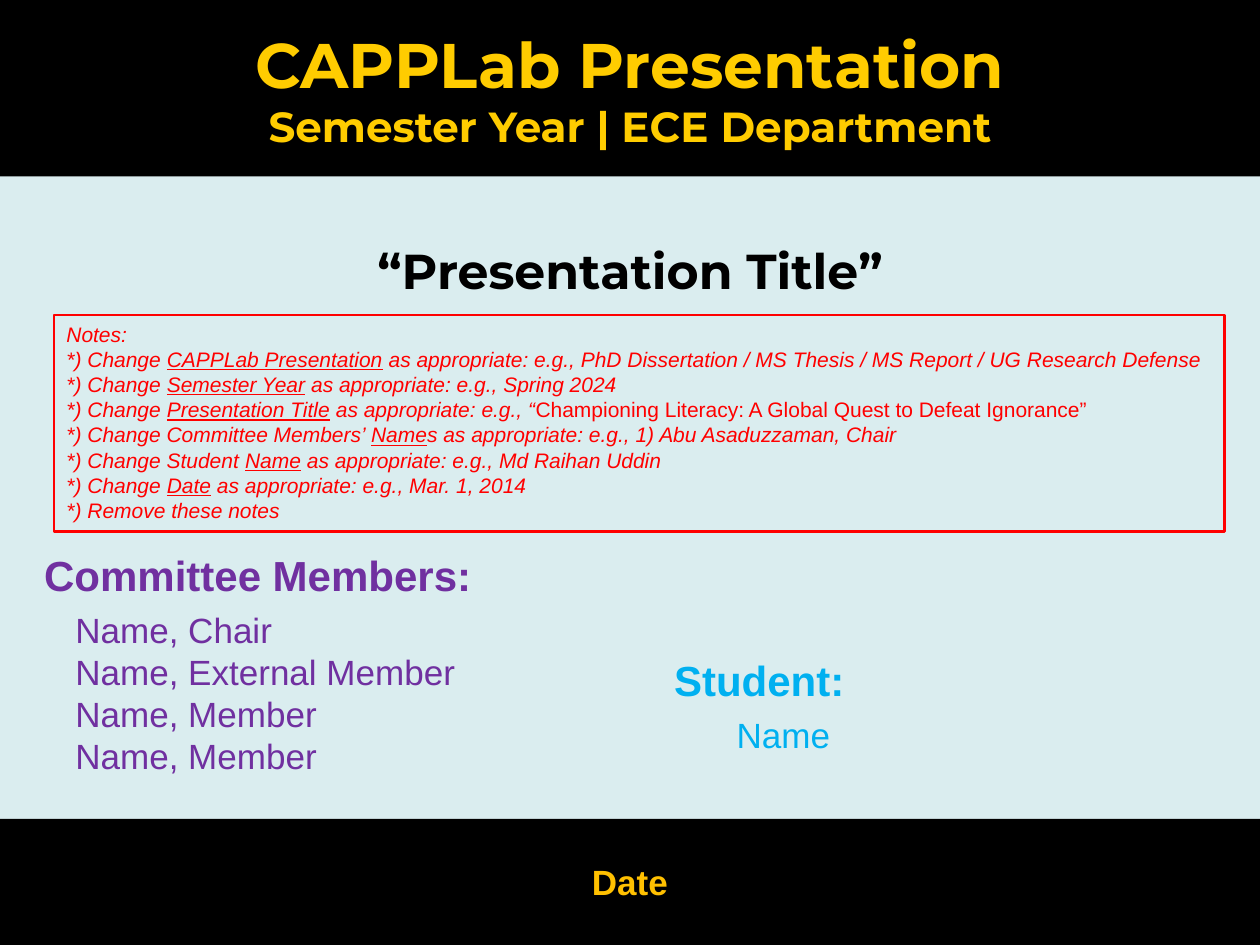
from pptx import Presentation
from pptx.dml.color import RGBColor
from pptx.enum import shapes, text
from pptx.util import Cm, Pt

BLACK = RGBColor(0x00, 0x00, 0x00)
PALE_BLUE = RGBColor(0xDA, 0xED, 0xEF)
YELLOW = RGBColor(0xFF, 0xCC, 0x00)
AMBER = RGBColor(0xFF, 0xC0, 0x00)
PURPLE = RGBColor(0x70, 0x30, 0xA0)
SKY_BLUE = RGBColor(0x00, 0xB0, 0xF0)
RED = RGBColor(0xFF, 0x00, 0x00)

WIDTH, HEIGHT = Cm(25.4), Cm(19.05)
HEADER_HEIGHT, FOOTER_TOP = Cm(3.56), Cm(16.51)


def format_font(font, name, size, color, bold=False):
    font.name, font.size, font.bold = name, Pt(size), bold
    font.color.rgb = color


def add_rectangle(page, left, top, width, height):
    box = page.shapes.add_shape(
        shapes.MSO_SHAPE.RECTANGLE, left, top, width, height)
    box.shadow.inherit = False
    return box


deck = Presentation()
deck.slide_width, deck.slide_height = WIDTH, HEIGHT
page = deck.slides.add_slide(deck.slide_layouts[5])
page.background.fill.solid()
page.background.fill.fore_color.rgb = PALE_BLUE

# Title
title = page.shapes.title
title.left, title.top, title.width, title.height = 0, Cm(4.72), WIDTH, Cm(1.6)
title.text_frame.text = "“Presentation Title”"
title.text_frame.vertical_anchor = text.MSO_ANCHOR.TOP
title.text_frame.paragraphs[0].alignment = text.PP_ALIGN.CENTER
format_font(title.text_frame.paragraphs[0].runs[0].font,
            "Montserrat", 28, BLACK, bold=True)

# Header and footer bands
bands = [
    (0, HEADER_HEIGHT, "Montserrat", YELLOW,
     [("CAPPLab Presentation", 36), ("Semester Year | ECE Department", 24)]),
    (FOOTER_TOP, HEIGHT - FOOTER_TOP, "Arial", AMBER, [("Date", 20)]),
]
for top, height, font_name, color, lines in bands:
    band = add_rectangle(page, 0, top, WIDTH, height)
    band.fill.solid()
    band.fill.fore_color.rgb = BLACK
    band.line.fill.background()
    frame = band.text_frame
    frame.vertical_anchor = text.MSO_ANCHOR.MIDDLE
    frame.text = "\n".join(line for line, size in lines)
    for para, (line, size) in zip(frame.paragraphs, lines):
        para.alignment = text.PP_ALIGN.CENTER
        format_font(para.runs[0].font, font_name, size, color, bold=True)

# People: a bold heading above indented names
people = [
    (Cm(12.7), Cm(13.06), Cm(3.45), SKY_BLUE, Cm(1.9), "Student:", ["Name"]),
    (0, Cm(10.95), Cm(5.56), PURPLE, Cm(1.27), "Committee Members:",
     ["Name, Chair", "Name, External Member", "Name, Member", "Name, Member"]),
]
for left, top, height, color, name_indent, heading, names in people:
    box = page.shapes.add_textbox(left, top, Cm(12.7), height)
    frame = box.text_frame
    frame.word_wrap = True
    frame.text = "\n".join([heading, *names])
    for index, para in enumerate(frame.paragraphs):
        is_heading = index == 0
        indent = Cm(0.64) if is_heading else name_indent
        para._p.get_or_add_pPr().set("marL", str(indent))
        format_font(para.runs[0].font, "Arial", 24 if is_heading else 20,
                    color, bold=is_heading)
    frame.paragraphs[1].space_before = Pt(5)

# Notes: the second part of a line is underlined, the fourth is upright
notes = [
    ("Notes:",),
    ("*) Change ", "CAPPLab Presentation",
     " as appropriate: e.g., PhD Dissertation / MS Thesis / MS Report"
     " / UG Research Defense"),
    ("*) Change ", "Semester Year", " as appropriate: e.g., Spring 2024"),
    ("*) Change ", "Presentation Title", " as appropriate: e.g., “",
     "Championing Literacy: A Global Quest to Defeat Ignorance”"),
    ("*) Change Committee Members’ ", "Name",
     "s as appropriate: e.g., 1) Abu Asaduzzaman, Chair"),
    ("*) Change Student ", "Name", " as appropriate: e.g., Md Raihan Uddin"),
    ("*) Change ", "Date", " as appropriate: e.g., Mar. 1, 2014"),
    ("*) Remove these notes",),
]
box = add_rectangle(page, Cm(1.09), Cm(6.35), Cm(23.6), Cm(4.37))
box.fill.background()
box.line.color.rgb = RED
box.line.width = Pt(1.5)
frame = box.text_frame
frame.word_wrap = False
frame.auto_size = text.MSO_AUTO_SIZE.SHAPE_TO_FIT_TEXT
frame.vertical_anchor = text.MSO_ANCHOR.TOP
for row, parts in enumerate(notes):
    para = frame.add_paragraph() if row else frame.paragraphs[0]
    para.alignment = text.PP_ALIGN.LEFT
    for index, part in enumerate(parts):
        span = para.add_run()
        span.text = part
        format_font(span.font, "Arial", 12, RED)
        span.font.underline = index == 1
        span.font.italic = index < 3

deck.save("out.pptx")
